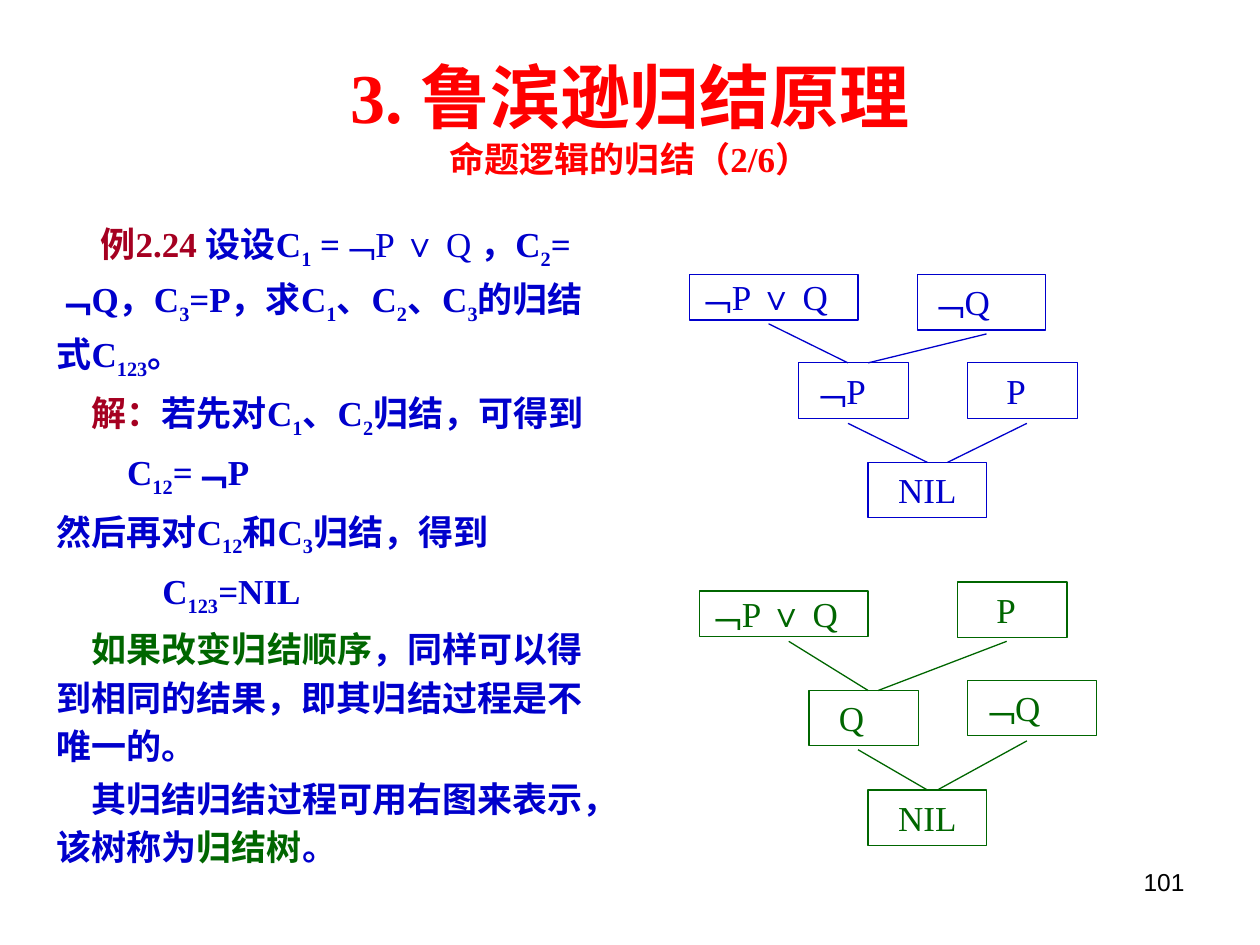
from dataclasses import dataclass

from lxml import etree
from pptx import Presentation
from pptx.dml.color import RGBColor
from pptx.enum.shapes import MSO_CONNECTOR as Connector, MSO_SHAPE as Shape
from pptx.enum.text import MSO_ANCHOR as Anchor, PP_ALIGN as Align
from pptx.oxml.ns import qn
from pptx.util import Inches, Pt

BLUE, GREEN, MAROON, RED, BLACK = "0000CC", "006600", "A50021", "FF0000", "000000"
SERIF = "Times New Roman"
SPACE = 0.07  # width of one space at 20 pt, in inches
WIDE = {"margin_left": 0.1, "margin_right": 0.1, "margin_top": 0.05, "margin_bottom": 0.05}
TIGHT = {"margin_left": 0.06, "margin_right": 0.06, "margin_top": 0.01, "margin_bottom": 0.01}


@dataclass
class Span:
    """Text in one format; parts between underscores are subscripts."""
    text: str
    color: str = BLUE
    bold: bool = True
    size: int = 20
    font: str = SERIF


@dataclass
class Node:
    text: str
    left: float
    top: float
    width: float = 0.87
    height: float = 0.44
    indent: int = 0
    margins: dict | None = None


@dataclass
class Tree:
    color: str
    nodes: list[Node]
    edges: list[tuple[float, float, float, float]]


def set_format(target, values: dict) -> None:
    for name, value in values.items():
        setattr(target, name, value)


def rgb(color: str) -> RGBColor:
    return RGBColor.from_string(color)


def add_span(paragraph, span: Span) -> None:
    for index, piece in enumerate(span.text.split("_")):
        if not piece:
            continue
        run = paragraph.add_run()
        run.text = piece
        set_format(run.font, {"name": span.font, "size": Pt(span.size), "bold": span.bold})
        run.font.color.rgb = rgb(span.color)
        if index % 2:
            run.font._element.set("baseline", "-25000")


def set_indent(paragraph, spaces: int) -> None:
    properties = paragraph._p.get_or_add_pPr()
    properties.set("marL", "0")
    properties.set("indent", str(Inches(spaces * SPACE)))


def set_frame(frame, margins: dict, anchor=Anchor.TOP) -> None:
    set_format(frame, {name: Inches(value) for name, value in margins.items()})
    set_format(frame, {"word_wrap": True, "vertical_anchor": anchor})


def add_text(slide, left: float, top: float, width: float, height: float, anchor=Anchor.TOP):
    box = slide.shapes.add_textbox(Inches(left), Inches(top), Inches(width), Inches(height))
    set_frame(box.text_frame, WIDE, anchor)
    return box.text_frame


def logic_spans(text: str, color: str) -> list[Span]:
    """Regular weight, with a bold disjunction sign."""
    before, sign, after = text.partition("∨")
    return [Span(part, color, part == "∨") for part in (before, sign, after) if part]


def add_node(slide, node: Node, color: str) -> None:
    box = slide.shapes.add_shape(Shape.RECTANGLE, Inches(node.left), Inches(node.top),
                                 Inches(node.width), Inches(node.height))
    box.shadow.inherit = False
    box.fill.background()
    box.line.color.rgb = rgb(color)
    box.line.width = Pt(0.75)
    set_frame(box.text_frame, node.margins or WIDE)
    paragraph = box.text_frame.paragraphs[0]
    paragraph.alignment = Align.LEFT
    set_indent(paragraph, node.indent)
    for span in logic_spans(node.text, color):
        add_span(paragraph, span)


def add_edge(slide, edge: tuple[float, float, float, float], color: str) -> None:
    line = slide.shapes.add_connector(Connector.STRAIGHT, *map(Inches, edge))
    line.line.color.rgb = rgb(color)
    line.line.width = Pt(0.75)
    etree.SubElement(line._element.spPr, qn("a:effectLst"))


def add_tree(slide, tree: Tree) -> None:
    for node in tree.nodes:
        add_node(slide, node, tree.color)
    for edge in tree.edges:
        add_edge(slide, edge, tree.color)


TREES = [
    Tree(BLUE, [
        Node("﹁P ∨ Q", 5.47, 2.18, 1.34, 0.36, margins=TIGHT),
        Node("﹁Q", 7.28, 2.18, 1.02),
        Node("﹁P", 6.34, 2.88),
        Node("P", 7.68, 2.88, indent=3),
        Node("NIL", 6.89, 3.67, 0.94, indent=2),
    ], [(6.1, 2.57, 6.73, 2.88), (7.83, 2.65, 6.89, 2.88),
        (6.73, 3.36, 7.36, 3.67), (8.15, 3.36, 7.52, 3.67)]),
    Tree(GREEN, [
        Node("﹁P ∨ Q", 5.55, 4.69, 1.34, 0.36, margins=TIGHT),
        Node("P", 7.6, 4.62, indent=3),
        Node("Q", 6.42, 5.48, indent=2),
        Node("﹁Q", 7.68, 5.4, 1.02),
        Node("NIL", 6.89, 6.27, 0.94, indent=2),
    ], [(6.26, 5.09, 6.89, 5.48), (7.99, 5.09, 6.97, 5.48),
        (6.81, 5.95, 7.36, 6.27), (8.15, 5.88, 7.44, 6.27)]),
]

# Each paragraph: first-line indent in spaces, then its spans
EXAMPLE = [
    (5, [Span("例2.24 ", MAROON), Span("设设C_1_ ="), *logic_spans("﹁P ∨ Q ", BLUE),
         Span("，C_2_=﹁Q，C_3_=P，求C_1_、C_2_、C_3_的归结式C_123_。")]),
    (4, [Span("解：", MAROON), Span("若先对C_1_、C_2_归结，可得到")]),
    (8, [Span("C_12_=﹁P")]),
    (0, [Span("然后再对C_12_和C_3_归结，得到")]),
    (12, [Span("C_123_=NIL")]),
    (4, [Span("如果改变归结顺序", GREEN),
         Span("，同样可以得到相同的结果，即其归结过程是不唯一的。")]),
    (4, [Span("其归结归结过程可用右图来表示，该树称为"), Span("归结树", GREEN), Span("。")]),
]


def main() -> None:
    deck = Presentation()
    set_format(deck, {"slide_width": Inches(10), "slide_height": Inches(7.5)})
    slide = deck.slides.add_slide(deck.slide_layouts[6])

    page_number = add_text(slide, 7.17, 6.83, 2.33, 0.52).paragraphs[0]
    page_number.alignment = Align.RIGHT
    add_span(page_number, Span("101", BLACK, False, 14, "Arial"))

    title = add_text(slide, 0.5, 0.3, 9, 1.25, Anchor.MIDDLE).paragraphs[0]
    title.alignment = Align.CENTER
    add_span(title, Span("3. 鲁滨逊归结原理", RED, size=40))
    title.add_line_break()
    add_span(title, Span("命题逻辑的归结（2/6）", RED))

    for tree in TREES:
        add_tree(slide, tree)

    body = add_text(slide, 0.35, 1.66, 4.41, 5.66)
    for index, (indent, spans) in enumerate(EXAMPLE):
        paragraph = body.add_paragraph() if index else body.paragraphs[0]
        set_format(paragraph, {"line_spacing": 1.15, "space_before": Pt(2.5 if index else 0)})
        set_indent(paragraph, indent)
        for span in spans:
            add_span(paragraph, span)

    deck.save("out.pptx")


if __name__ == "__main__":
    main()
